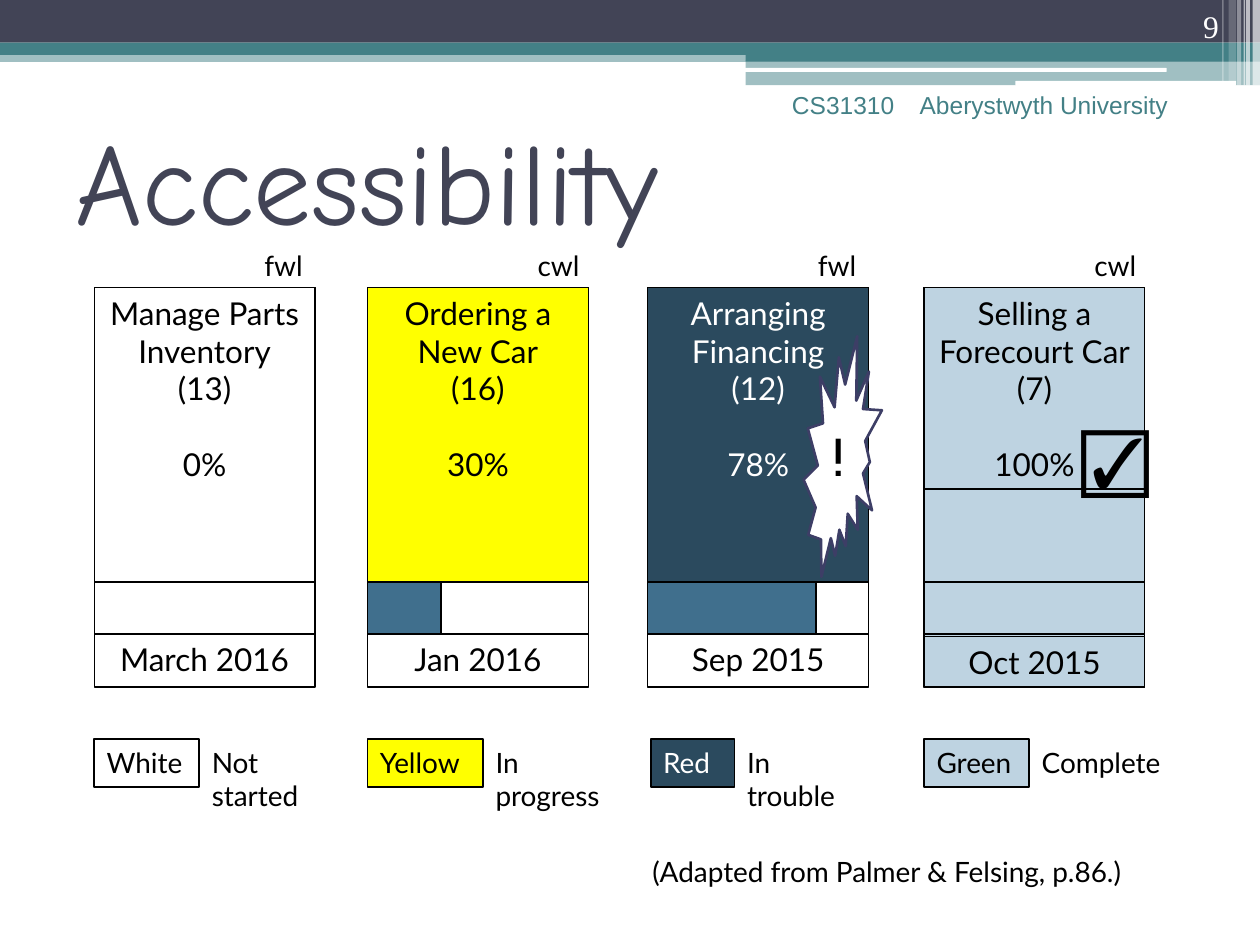
from lxml import etree
from pptx import Presentation, util as u
from pptx.dml.color import RGBColor
from pptx.enum import shapes, text
from pptx.oxml.ns import qn

theme = {
    "slate": "424456", "teal": "438086", "white": "FFFFFF", "black": "000000",
    "yellow": "FFFF00", "navy": "2B4A5E", "pale": "BED3E1", "blue": "406F8D", "seal": "3D3E66",
    "body": "Lato", "title": "Comic Neue", "header": "Arial", "serif": "Times New Roman", "mark": "Roboto Slab",
    "title_pt": 66, "card_pt": 18, "label_pt": 16, "header_pt": 14, "bang_pt": 30, "tick_pt": 40,
}
SHAPE = shapes.MSO_SHAPE
LEFT, CENTER, RIGHT = text.PP_ALIGN.LEFT, text.PP_ALIGN.CENTER, text.PP_ALIGN.RIGHT
TOP, MIDDLE, BOTTOM = text.MSO_ANCHOR.TOP, text.MSO_ANCHOR.MIDDLE, text.MSO_ANCHOR.BOTTOM

prs = Presentation()
prs.slide_width, prs.slide_height = u.Cm(25.4), u.Cm(19.05)
s = prs.slides.add_slide(prs.slide_layouts[6])


def add_box(box, fill=None, line=None, width=0.75, kind=SHAPE.RECTANGLE, alpha=100):
    sp = s.shapes.add_shape(kind, *[u.Cm(v) for v in box])
    sp.shadow.inherit = False
    if fill:
        sp.fill.solid()
        sp.fill.fore_color.rgb = RGBColor.from_string(theme[fill])
        if alpha < 100:
            clr = sp._element.spPr.find(qn("a:solidFill"))[0]
            etree.SubElement(clr, qn("a:alpha")).set("val", str(alpha * 1000))
    else:
        sp.fill.background()
    if line:
        sp.line.color.rgb = RGBColor.from_string(theme[line])
        sp.line.width = u.Pt(width)
    else:
        sp.line.fill.background()
    return sp


def add_text(target, paragraphs, size="label_pt", font="body", color="black", align=LEFT, anchor=TOP):
    sp = target
    if isinstance(target, tuple):
        sp = s.shapes.add_textbox(*[u.Cm(v) for v in target])
    tf = sp.text_frame
    tf.word_wrap = True
    tf.vertical_anchor = anchor
    for i, words in enumerate(paragraphs):
        p = tf.add_paragraph() if i else tf.paragraphs[0]
        p.text = words
        p.alignment = align
        p.font.name = theme[font]
        p.font.size = u.Pt(theme[size])
        p.font.color.rgb = RGBColor.from_string(theme[color])
        if i:
            p.space_before = u.Pt(21.6)


bands = [
    ((0, 1.02, 25.4, 0.23), "teal", 50),
    ((0, 0, 25.4, 0.86), "slate", 100),
    ((0, 0.86, 25.4, 0.25), "teal", 100),
    ((15.03, 0.99, 10.37, 0.25), "teal", 100),
    ((15.03, 1.22, 10.37, 0.5), "teal", 50),
]
for box, fill, alpha in bands:
    add_box(box, fill, alpha=alpha)
for box in [(15.01, 1.37, 8.51, 0.08), (20.47, 1.63, 4.45, 0.1)]:
    add_box(box, "white", kind=SHAPE.ROUNDED_RECTANGLE)
stripes = [(25.25, 0.15, 1.73, 65), (25.12, 0.08, 1.73, 65), (25.07, 0.03, 1.73, 60),
           (24.94, 0.08, 1.73, 40), (24.77, 0.15, 1.63, 20), (24.64, 0.03, 1.63, 30)]
for x, w, h, alpha in stripes:
    add_box((x, 0, w, h), "white", alpha=alpha)

add_text((1.27, 2.72, 22.86, 1.8), ["Accessibility"], "title_pt", "title", "slate", anchor=MIDDLE)
add_text((18.29, 1.7, 5.61, 1.27), ["Aberystwyth University"], "header_pt", "header", "teal")
add_text((14.6, 1.7, 3.68, 1.27), ["CS31310"], "header_pt", "header", "teal", RIGHT)
add_text((22.71, 0, 2.11, 1.02), ["9"], "card_pt", "serif", "white", RIGHT, BOTTOM)

card_w, card_top, card_h = 4.45, 5.8, 8.05
bar_top, date_top = 11.73, 12.78
open_h, done_h = bar_top - card_top, 4.06
cards = [
    (1.9, "fwl", "Manage Parts Inventory\v(13)", "0%", "March 2016", None, None, "black", open_h, 0),
    (7.41, "cwl", "Ordering a New Car\v(16)", "30%", "Jan 2016", None, "yellow", "black", open_h, 1.48),
    (13.06, "fwl", "Arranging Financing\v(12)", "78%", "Sep 2015", None, "navy", "white", open_h, 3.39),
    (18.63, "cwl", "Selling a Forecourt Car\v(7)", "100%", "Oct 2015", "pale", "pale", "black", done_h, 0),
]
for x, owner, feature, percent, date, card_fill, head_fill, ink, head_h, progress in cards:
    add_box((x, card_top, card_w, card_h), card_fill, "black")
    head = add_box((x, card_top, card_w, head_h), head_fill, "black")
    add_text(head, [feature, percent], "card_pt", color=ink, align=CENTER)
    if progress:
        add_box((x, bar_top, progress, date_top - bar_top), "blue", "black")
    for y in (bar_top, date_top):
        cn = s.shapes.add_connector(shapes.MSO_CONNECTOR.STRAIGHT,
                                    u.Cm(x), u.Cm(y), u.Cm(x + card_w), u.Cm(y))
        cn.line.color.rgb = RGBColor.from_string(theme["black"])
        cn.line.width = u.Pt(0.75)
        etree.SubElement(cn._element.spPr, qn("a:effectLst"))
    date_box = (x, date_top, card_w, 1.02)
    if card_fill:
        date_box = add_box((x, date_top + 0.05, card_w, 1.02), card_fill, "black")
    add_text(date_box, [date], "card_pt", align=CENTER)
    add_text((x + 3.18, 4.88, 1.47, 0.94), [owner])

legend = [
    (1.9, 2.12, "White", None, "black", "Not started", 3.18),
    (7.41, 2.33, "Yellow", "yellow", "black", "In progress", 3.18),
    (13.12, 1.69, "Red", "navy", "white", "In trouble", 2.75),
    (18.63, 2.12, "Green", "pale", "black", "Complete", 3.18),
]
for x, w, name, fill, ink, meaning, meaning_w in legend:
    add_text(add_box((x, 14.9, w, 0.97), fill, "black", 1), [name], color=ink)
    add_text((x + w, 14.9, meaning_w, 1.63), [meaning])

add_text((12.9, 17.1, 10.82, 0.94), ["(Adapted from Palmer & Felsing, p.86.)"])
add_box((16.2, 6.78, 1.58, 4.85), "white", "seal", 1.5, SHAPE.EXPLOSION2)
add_text((16.54, 8.43, 0.97, 1.55), ["!"], "bang_pt", "mark")
add_text((21.54, 8.23, 1.6, 1.96), ["☑"], "tick_pt", "serif")

prs.save("out.pptx")
